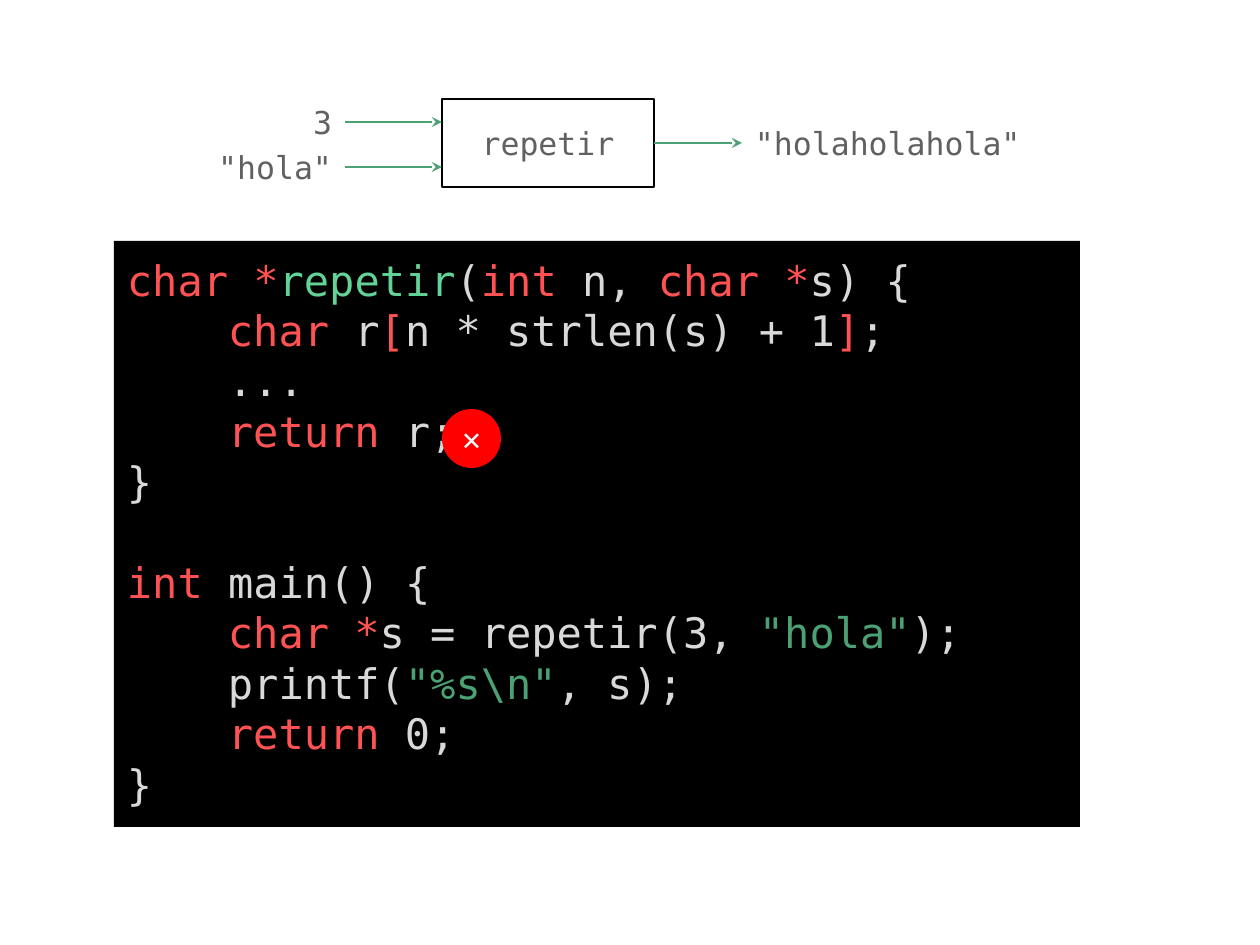
"""Builds a slide on returning a local array from a C function."""
import pptx
import pptx.dml.color
import pptx.enum.shapes
import pptx.enum.text
import pptx.oxml
import pptx.oxml.ns
import pptx.util

PX = 914400 // 126
THEME = {
    "font": "DejaVu Sans Mono", "label_size": 18, "code_size": 24, "code_pitch": 28.8, "line": 1.5,
    "label": "616161", "arrow": "4BA173", "outline": "000000", "panel": "000000",
    "keyword": "FF5252", "function": "63D297", "plain": "D9D9D9", "string": "4BA173",
    "error": "FF0000", "cross": "FFFFFF",
}
COLORS = {name: pptx.dml.color.RGBColor.from_string(value)
          for name, value in THEME.items() if isinstance(value, str) and name != "font"}
SHAPE = pptx.enum.shapes.MSO_SHAPE
ALIGN = pptx.enum.text.PP_ALIGN
ANCHOR = pptx.enum.text.MSO_ANCHOR
INSET = 13 * PX

presentation = pptx.Presentation()
presentation.slide_width, presentation.slide_height = 1260 * PX, 945 * PX
slide = presentation.slides.add_slide(presentation.slide_layouts[6])


def add_block(bounds, preset=None, fill=None, outline=None, anchor=ANCHOR.MIDDLE):
    left, top, width, height = (value * PX for value in bounds)
    if preset is None:
        block = slide.shapes.add_textbox(left, top, width, height)
    else:
        block = slide.shapes.add_shape(preset, left, top, width, height)
        block.shadow.inherit = False
        for paint, color in ((block.fill, fill), (block.line.fill, outline)):
            if color:
                paint.solid()
                paint.fore_color.rgb = COLORS[color]
            else:
                paint.background()
        if outline:
            block.line.width = pptx.util.Pt(THEME["line"])
    frame_format = {"word_wrap": True, "vertical_anchor": anchor, "margin_left": INSET,
                    "margin_right": INSET, "margin_top": INSET, "margin_bottom": INSET}
    for name, value in frame_format.items():
        setattr(block.text_frame, name, value)
    return block


def add_text(paragraph, text, color, size, bold=False):
    run = paragraph.add_run()
    run.text = text
    font_format = {"name": THEME["font"], "size": pptx.util.Pt(THEME[size]), "bold": bold}
    for name, value in font_format.items():
        setattr(run.font, name, value)
    run.font.color.rgb = COLORS[color]


repetir = add_block((442, 99, 212, 88), SHAPE.RECTANGLE, outline="outline")
count = add_block((204, 99, 141, 46))
word = add_block((204, 144, 141, 46))
result = add_block((742, 120, 312, 46))
for block, text, alignment in (
    (repetir, "repetir", ALIGN.CENTER),
    (count, "3", ALIGN.RIGHT),
    (word, '"hola"', ALIGN.RIGHT),
    (result, '"holaholahola"', ALIGN.LEFT),
):
    paragraph = block.text_frame.paragraphs[0]
    paragraph.alignment = alignment
    add_text(paragraph, text, "label", "label_size")

for source, target, start, end, y in (
    (count, None, 345, 442, 122),
    (word, None, 345, 442, 167),
    (repetir, result, 654, 742, 143),
):
    arrow = slide.shapes.add_connector(
        pptx.enum.shapes.MSO_CONNECTOR.STRAIGHT, start * PX, y * PX, end * PX, y * PX)
    arrow.begin_connect(source, 3)
    if target:
        arrow.end_connect(target, 1)
    arrow.line.width = pptx.util.Pt(THEME["line"])
    arrow.line.color.rgb = COLORS["arrow"]
    namespace = pptx.oxml.ns.nsdecls("a")
    arrow.line._get_or_add_ln().append(pptx.oxml.parse_xml(f'<a:tailEnd {namespace} type="stealth"/>'))
    arrow._element.spPr.append(pptx.oxml.parse_xml(f"<a:effectLst {namespace}/>"))

CODE = [
    (0, 0, [("char *", "keyword"), ("repetir", "function"), ("(", "plain"), ("int", "keyword"),
            (" n, ", "plain"), ("char *", "keyword"), ("s) {", "plain")]),
    (1, 0, [("char ", "keyword"), ("r", "plain"), ("[", "keyword"),
            ("n * strlen(s) + 1", "plain"), ("]", "keyword"), (";", "plain")]),
    (1, 0, [("...", "plain")]),
    (1, 0, [("return", "keyword"), (" r;", "plain")]),
    (0, 0, [("}", "plain")]),
    (0, 1, [("int", "keyword"), (" main() {", "plain")]),
    (1, 0, [("char *", "keyword"), ("s = repetir(3, ", "plain"), ('"hola"', "string"), (");", "plain")]),
    (1, 0, [("printf(", "plain"), ('"%s\\n"', "string"), (", s);", "plain")]),
    (1, 0, [("return", "keyword"), (" 0;", "plain")]),
    (0, 0, [("}", "plain")]),
]
listing = add_block((114, 241, 966, 586), SHAPE.RECTANGLE, fill="panel", anchor=ANCHOR.TOP).text_frame
for index, (indent, gap, tokens) in enumerate(CODE):
    paragraph = listing.add_paragraph() if index else listing.paragraphs[0]
    paragraph_format = {"alignment": ALIGN.LEFT, "line_spacing": pptx.util.Pt(THEME["code_pitch"]),
                        "space_before": pptx.util.Pt(gap * THEME["code_pitch"])}
    for name, value in paragraph_format.items():
        setattr(paragraph, name, value)
    paragraph._p.get_or_add_pPr().set("marL", str(indent * 101 * PX))
    for text, color in tokens:
        add_text(paragraph, text, color, "code_size")

add_block((442, 409, 59, 59), SHAPE.OVAL, fill="error")
cross = add_block((442, 418, 59, 39)).text_frame.paragraphs[0]
cross.alignment = ALIGN.CENTER
add_text(cross, "✕", "cross", "label_size", bold=True)

presentation.save("out.pptx")
